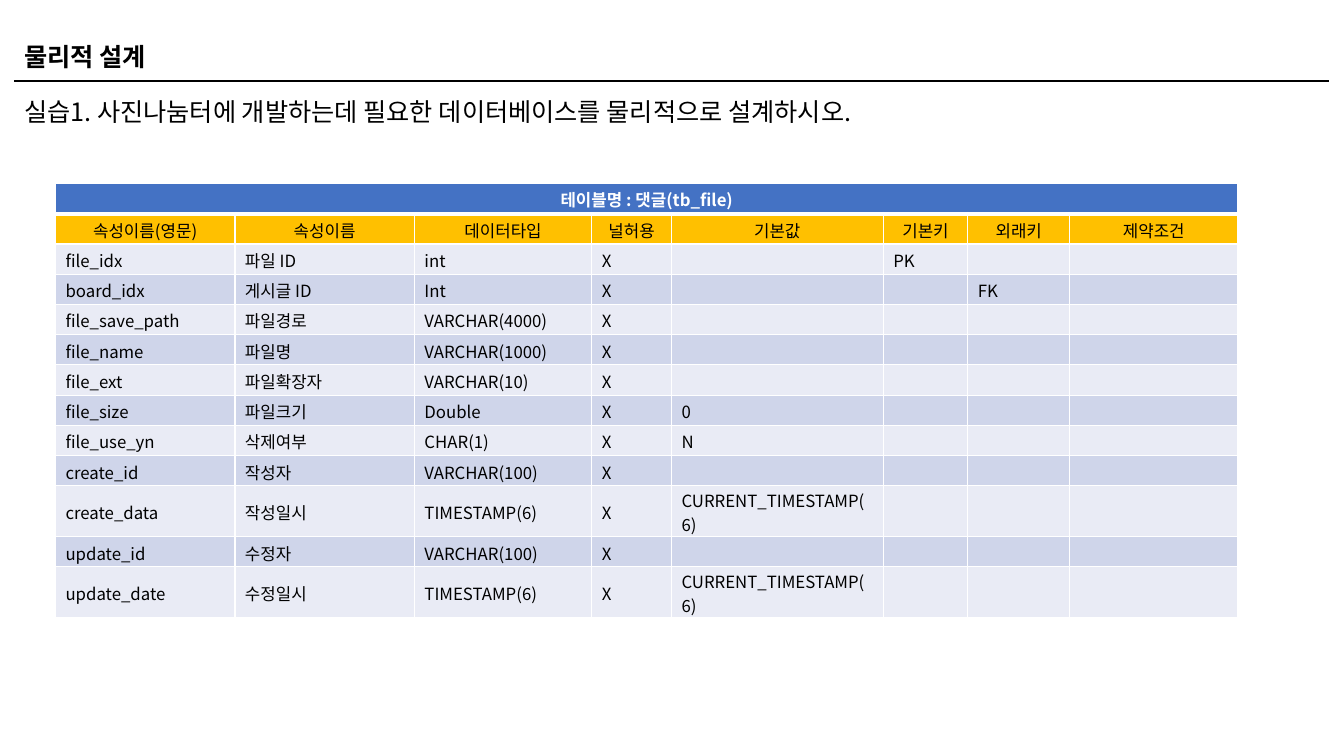
from dataclasses import dataclass

from lxml import etree
from pptx import Presentation
from pptx.dml.color import RGBColor
from pptx.enum import shapes, text
from pptx.oxml import ns
from pptx.util import Inches, Pt


@dataclass(frozen=True)
class Theme:
    font: str = "Noto Sans CJK KR"
    ink: str = "000000"
    white: str = "FFFFFF"
    banner: str = "4472C4"
    header: str = "FFC000"
    bands: tuple = ("E9EBF5", "CFD5EA")
    heading_size: int = 18
    cell_size: int = 12


THEME = Theme()

# Table content
COLUMN_WIDTHS = [1.78, 1.78, 1.76, 0.79, 2.1, 0.84, 1.01, 1.67]
ROW_HEIGHT = 0.3
TALL_ROW_HEIGHT = 0.5
TABLE_NAME = "테이블명 : 댓글(tb_file)"
HEADERS = ["속성이름(영문)", "속성이름", "데이터타입", "널허용",
           "기본값", "기본키", "외래키", "제약조건"]
NOW = "CURRENT_TIMESTAMP(6)"
# name, label, type, default, primary key, foreign key
FIELDS = [
    ("file_idx", "파일 ID", "int", "", "PK", ""),
    ("board_idx", "게시글 ID", "Int", "", "", "FK"),
    ("file_save_path", "파일경로", "VARCHAR(4000)", "", "", ""),
    ("file_name", "파일명", "VARCHAR(1000)", "", "", ""),
    ("file_ext", "파일확장자", "VARCHAR(10)", "", "", ""),
    ("file_size", "파일크기", "Double", "0", "", ""),
    ("file_use_yn", "삭제여부", "CHAR(1)", "N", "", ""),
    ("create_id", "작성자", "VARCHAR(100)", "", "", ""),
    ("create_data", "작성일시", "TIMESTAMP(6)", NOW, "", ""),
    ("update_id", "수정자", "VARCHAR(100)", "", "", ""),
    ("update_date", "수정일시", "TIMESTAMP(6)", NOW, "", ""),
]


def format_runs(p, size, color, bold=False):
    for r in p.runs:
        r.font.name = THEME.font
        r.font.size = Pt(size)
        r.font.bold = bold
        r.font.color.rgb = RGBColor.from_string(color)
        ea = etree.SubElement(r.font._element, ns.qn("a:ea"))
        ea.set("typeface", THEME.font)


def fill_placeholder(sp, words, top, bold=False):
    sp.left, sp.top = Inches(0.14), Inches(top)
    sp.width, sp.height = Inches(13.04), Inches(0.4)
    tf = sp.text_frame
    tf.text = words
    tf.word_wrap = True
    tf.auto_size = text.MSO_AUTO_SIZE.NONE
    tf.vertical_anchor = text.MSO_ANCHOR.MIDDLE
    tf.margin_left = tf.margin_right = Inches(0.1)
    tf.margin_top = tf.margin_bottom = 0
    p = tf.paragraphs[0]
    p.alignment = text.PP_ALIGN.LEFT
    p.space_before = Pt(0)
    # No bullet and no hanging indent
    pPr = p._p.get_or_add_pPr()
    pPr.set("marL", "0")
    pPr.set("indent", "0")
    etree.SubElement(pPr, ns.qn("a:buNone"))
    format_runs(p, THEME.heading_size, THEME.ink, bold)


def add_rule(s):
    rule = s.shapes.add_connector(shapes.MSO_CONNECTOR.STRAIGHT,
                                  Inches(0.14), Inches(0.8),
                                  Inches(13.18), Inches(0.8))
    rule.line.color.rgb = RGBColor.from_string(THEME.ink)
    rule.line.width = Pt(1.5)
    etree.SubElement(rule._element.spPr, ns.qn("a:effectLst"))


def set_borders(cell, bottom=1):
    tcPr = cell._tc.get_or_add_tcPr()
    for side, width in (("L", 1), ("R", 1), ("T", 1), ("B", bottom)):
        ln = etree.SubElement(tcPr, ns.qn(f"a:ln{side}"), w=str(Pt(width)))
        fill = etree.SubElement(ln, ns.qn("a:solidFill"))
        etree.SubElement(fill, ns.qn("a:srgbClr"), val=THEME.white)


def fill_cell(cell, words, fill, color=THEME.ink, bold=False, centered=False, bottom=1):
    set_borders(cell, bottom)
    cell.fill.solid()
    cell.fill.fore_color.rgb = RGBColor.from_string(fill)
    cell.vertical_anchor = text.MSO_ANCHOR.MIDDLE
    cell.margin_top, cell.margin_bottom = Inches(0.02), 0
    p = cell.text_frame.paragraphs[0]
    if centered:
        p.alignment = text.PP_ALIGN.CENTER
    if words:
        p.text = words
        format_runs(p, THEME.cell_size, color, bold)
    else:
        # Keeps an empty cell from stretching its row
        etree.SubElement(p._p, ns.qn("a:endParaRPr"), sz=str(THEME.cell_size * 100))


def add_field_table(s):
    count = len(FIELDS) + 2
    table = s.shapes.add_table(count, len(HEADERS), Inches(0.55), Inches(1.82),
                               Inches(sum(COLUMN_WIDTHS)),
                               Inches(ROW_HEIGHT * count)).table
    for column, width in zip(table.columns, COLUMN_WIDTHS):
        column.width = Inches(width)

    # Banner row and header row
    for i in range(len(HEADERS)):
        fill_cell(table.cell(0, i), TABLE_NAME if i == 0 else "", THEME.banner,
                  THEME.white, bold=True, centered=True, bottom=3)
    table.cell(0, 0).merge(table.cell(0, len(HEADERS) - 1))
    for i, header in enumerate(HEADERS):
        fill_cell(table.cell(1, i), header, THEME.header, centered=True)

    # Field rows
    for n, (name, label, kind, default, pk, fk) in enumerate(FIELDS):
        if default == NOW:
            table.rows[n + 2].height = Inches(TALL_ROW_HEIGHT)
        for i, words in enumerate((name, label, kind, "X", default, pk, fk, "")):
            fill_cell(table.cell(n + 2, i), words, THEME.bands[n % 2])


def main():
    prs = Presentation()
    prs.slide_width, prs.slide_height = Inches(13.33), Inches(7.5)
    s = prs.slides.add_slide(prs.slide_layouts[1])
    add_rule(s)
    fill_placeholder(s.shapes.title, "물리적 설계", 0.36, bold=True)
    fill_placeholder(
        s.placeholders[1],
        "실습1. 사진나눔터에 개발하는데 필요한 데이터베이스를 물리적으로 설계하시오.", 0.91)
    add_field_table(s)
    prs.save("out.pptx")


if __name__ == "__main__":
    main()
